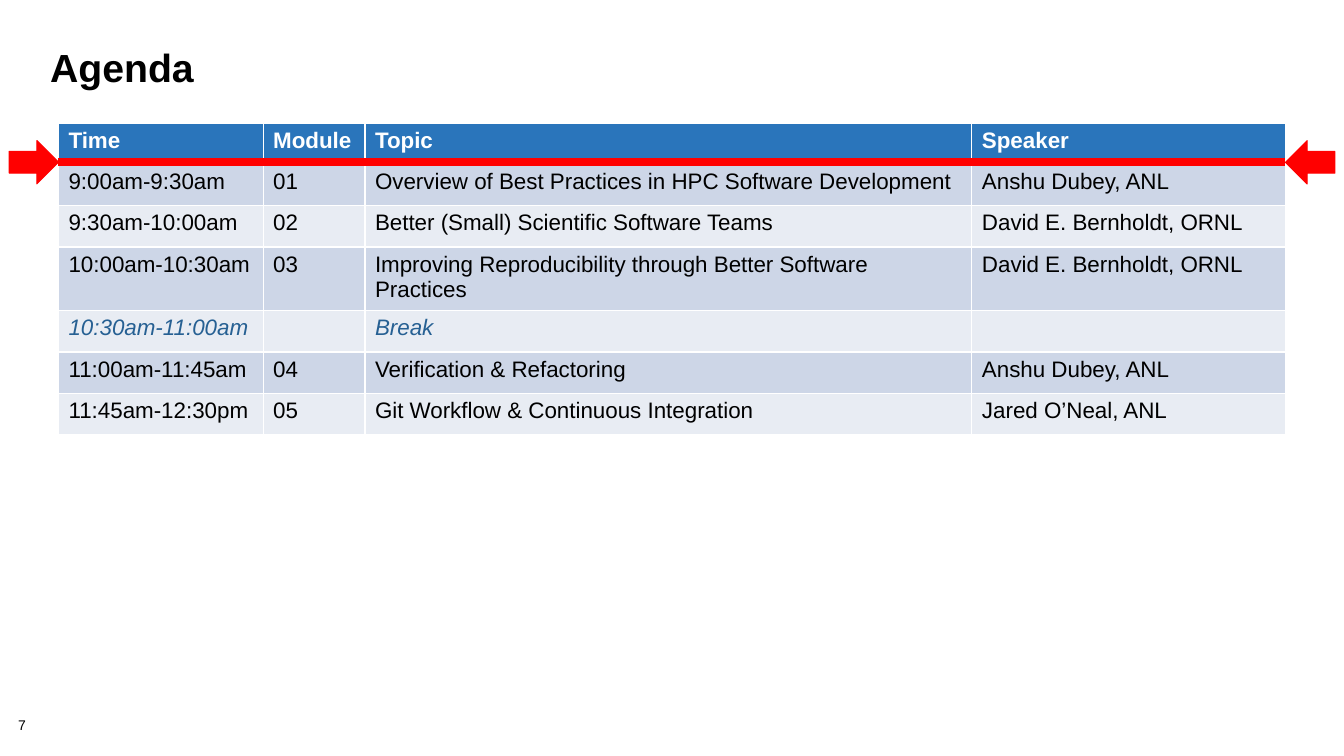
import pptx
import pptx.util
import pptx.dml.color
import pptx.enum.shapes
import pptx.enum.text
import pptx.oxml
from lxml import etree
from pptx.oxml import ns

Inches, Pt = pptx.util.Inches, pptx.util.Pt
FONT = "Arial"
COLORS = {
    "text": "000000", "header": "2A75BB", "band_dark": "CDD6E7",
    "band_light": "E8ECF3", "break": "266093", "white": "FFFFFF",
    "marker": "FF0000",
}
HEADER = ("Time", "Module", "Topic", "Speaker")
SESSIONS = [
    ("9:00am-9:30am", "01", "Overview of Best Practices in HPC Software Development",
     "Anshu Dubey, ANL"),
    ("9:30am-10:00am", "02", "Better (Small) Scientific Software Teams",
     "David E. Bernholdt, ORNL"),
    ("10:00am-10:30am", "03", "Improving Reproducibility through Better Software Practices",
     "David E. Bernholdt, ORNL"),
    ("10:30am-11:00am", "", "Break", ""),
    ("11:00am-11:45am", "04", "Verification & Refactoring", "Anshu Dubey, ANL"),
    ("11:45am-12:30pm", "05", "Git Workflow & Continuous Integration", "Jared O’Neal, ANL"),
]
COL_WIDTHS = (2.03, 1.01, 6.02, 3.11)
ROW_HEIGHTS = (0.41, 0.41, 0.41, 0.63, 0.41, 0.41, 0.41)


def rgb(name):
    return pptx.dml.color.RGBColor.from_string(COLORS[name])


def add_run(p, text, size, color="text", bold=False, italic=False):
    r = p.add_run()
    r.text = text
    r.font.name, r.font.size = FONT, Pt(size)
    r.font.bold, r.font.italic = bold, italic
    r.font.color.rgb = rgb(color)


def add_text(s, box, text, size, spacing, margins, anchor, bold=False):
    tf = s.shapes.add_textbox(*map(Inches, box)).text_frame
    tf.word_wrap = True
    tf.vertical_anchor = anchor
    tf.margin_left = tf.margin_right = Inches(margins[0])
    tf.margin_top = tf.margin_bottom = Inches(margins[1])
    p = tf.paragraphs[0]
    p.line_spacing = spacing
    add_run(p, text, size, bold=bold)


def set_borders(cell, bottom):
    """Draw white cell borders; the bottom one has its own width in points."""
    tc_pr = cell._tc.get_or_add_tcPr()
    widths = {"lnL": 1, "lnR": 1, "lnT": 1, "lnB": bottom}
    for i, (tag, width) in enumerate(widths.items()):
        ln = etree.Element(ns.qn(f"a:{tag}"), w=str(Pt(width)))
        fill = etree.SubElement(ln, ns.qn("a:solidFill"))
        etree.SubElement(fill, ns.qn("a:srgbClr"), val=COLORS["white"])
        tc_pr.insert(i, ln)


def add_agenda(s, left, top):
    rows = [HEADER] + SESSIONS
    table = s.shapes.add_table(
        len(rows), len(HEADER), Inches(left), Inches(top),
        Inches(sum(COL_WIDTHS)), Inches(sum(ROW_HEIGHTS))).table
    for column, width in zip(table.columns, COL_WIDTHS):
        column.width = Inches(width)
    for i, (row, height) in enumerate(zip(rows, ROW_HEIGHTS)):
        table.rows[i].height = Inches(height)
        is_header, is_break = i == 0, "Break" in row
        fill = "header" if is_header else "band_dark" if i % 2 else "band_light"
        color = "white" if is_header else "break" if is_break else "text"
        for j, text in enumerate(row):
            cell = table.cell(i, j)
            cell.fill.solid()
            cell.fill.fore_color.rgb = rgb(fill)
            set_borders(cell, 3 if is_header else 1)
            if text:
                add_run(cell.text_frame.paragraphs[0], text, 16, color,
                        bold=is_header, italic=is_break)


def add_time_marker(s, left, y, width):
    """Red line across the agenda with an arrow pointing in at each end."""
    line = s.shapes.add_connector(
        pptx.enum.shapes.MSO_CONNECTOR.STRAIGHT,
        Inches(left), Inches(y), Inches(left + width), Inches(y))
    line.line.color.rgb = rgb("marker")
    line.line.width = Pt(6)
    etree.SubElement(line._element.spPr, ns.qn("a:effectLst"))
    arrow_w, arrow_h = 0.49, 0.43
    for x, rotation in ((left - arrow_w, 0), (left + width, 180)):
        sp = s.shapes.add_shape(
            pptx.enum.shapes.MSO_SHAPE.RIGHT_ARROW,
            Inches(x), Inches(y - arrow_h / 2), Inches(arrow_w), Inches(arrow_h))
        sp.rotation = rotation
        sp.shadow.inherit = False
        sp.fill.solid()
        sp.fill.fore_color.rgb = rgb("marker")
        sp.line.color.rgb = rgb("marker")
        sp.line.width = Pt(0.75)


def main():
    prs = pptx.Presentation()
    prs.slide_width, prs.slide_height = Inches(13.33), Inches(7.5)
    s = prs.slides.add_slide(prs.slide_layouts[6])
    anchors = pptx.enum.text.MSO_ANCHOR
    add_text(s, (0.18, 7.12, 0.56, 0.16), "7", 10, 0.9, (0, 0), anchors.MIDDLE)
    add_text(s, (0.4, 0.45, 12.44, 1), "Agenda", 28, 0.85, (0.1, 0.05),
             anchors.TOP, bold=True)
    left, top = 0.58, 1.22
    add_agenda(s, left, top)
    add_time_marker(s, left, 1.61, sum(COL_WIDTHS))
    prs.save("out.pptx")


if __name__ == "__main__":
    main()
